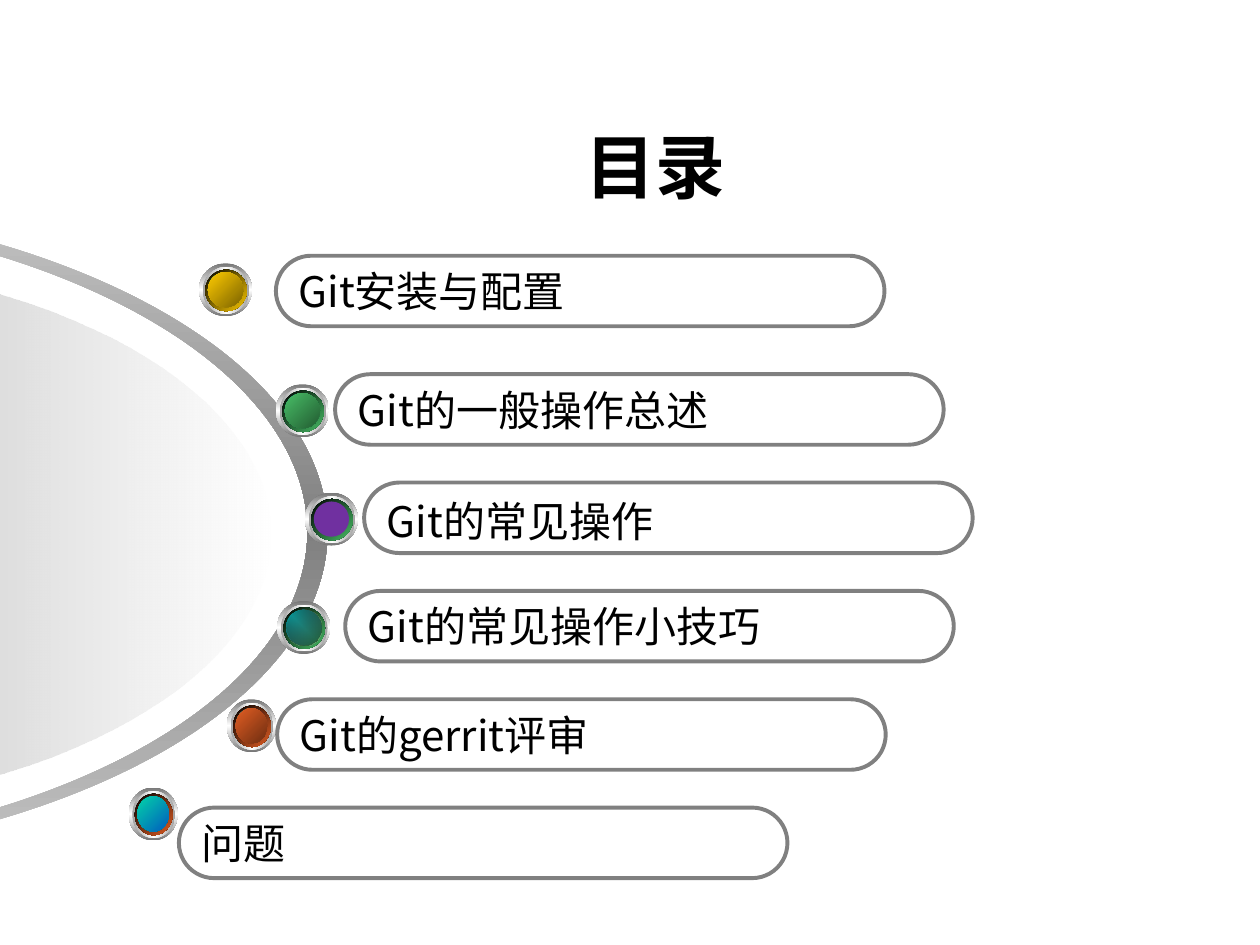
from lxml import etree
from pptx import Presentation
from pptx.dml.color import RGBColor
from pptx.enum.shapes import MSO_SHAPE
from pptx.enum.text import MSO_ANCHOR, PP_ALIGN
from pptx.oxml.ns import qn
from pptx.util import Inches, Pt

ELLIPSE = MSO_SHAPE.OVAL
PILL = MSO_SHAPE.ROUNDED_RECTANGLE
LEFT, CENTER = PP_ALIGN.LEFT, PP_ALIGN.CENTER
MIDDLE = MSO_ANCHOR.MIDDLE
TITLE_ONLY = 5

BODY_FONT, TITLE_FONT = "Noto Sans CJK SC", "Arial"
GRAY, BLACK = "808080", "000000"
PILL_SIZE = (4.83, 0.56)
DOT_HEIGHT = 0.42
ARC = 0.55  # control point distance of a quarter ellipse

# text, pill left and top, dot left, top and width, rim colour, core colours
GREEN, ORANGE = "48BE67", "E35E23"
ENTRIES = [
    ("Git安装与配置", 2.19, 2.03, 1.58, 2.09, 0.42, "FFCC00", ["FFCC00", "7C6300"]),
    ("Git的一般操作总述", 2.66, 2.97, 2.19, 3.05, 0.42, GREEN, [GREEN, "235C32"]),
    ("Git的常见操作", 2.89, 3.83, 2.42, 3.91, 0.42, GREEN, ["7030A0"]),
    ("Git的常见操作小技巧", 2.74, 4.69, 2.2, 4.77, 0.42, GREEN, [("595959", 0), "235C32"]),
    ("Git的gerrit评审", 2.2, 5.55, 1.8, 5.55, 0.39, ORANGE, [ORANGE, "6E2E11"]),
    ("问题", 1.42, 6.41, 1.02, 6.25, 0.39, ORANGE, ["03D4A8", "005CBF"]),
]


def color(hex_string):
    return RGBColor.from_string(hex_string)


def half_ellipse(left, middle, width, radius):
    """Start, control and end points of two curves, from top to bottom."""
    steps = [(0, -1), (ARC, -1), (1, -ARC), (1, 0), (1, ARC), (ARC, 1), (0, 1)]
    return [(left + width * x, middle + radius * y) for x, y in steps]


def bend(lines):
    """Turn each three line segments into one cubic curve."""
    for first, second, third in zip(lines[::3], lines[1::3], lines[2::3]):
        curve = etree.Element(qn("a:cubicBezTo"))
        first.addprevious(curve)
        for line in (first, second, third):
            curve.append(line[0])
            line.getparent().remove(line)


def set_fill(shape, colors, angle=0):
    """Fill with one colour, or with evenly spaced stops, each a hex string or (hex, opacity)."""
    if len(colors) == 1:
        shape.fill.solid()
        shape.fill.fore_color.rgb = color(colors[0])
        return
    shape.fill.gradient()
    gradient = shape._element.spPr.find(qn("a:gradFill"))
    stops = gradient.find(qn("a:gsLst"))
    for stop in list(stops):
        stops.remove(stop)
    for index, entry in enumerate(colors):
        hex_string, opacity = (entry, 100) if isinstance(entry, str) else entry
        position = 100000 * index // (len(colors) - 1)
        stop = etree.SubElement(stops, qn("a:gs"), pos=str(position))
        tone = etree.SubElement(stop, qn("a:srgbClr"), val=hex_string)
        if opacity < 100:
            etree.SubElement(tone, qn("a:alpha"), val=str(opacity * 1000))
    direction = gradient.find(qn("a:lin"))
    direction.set("ang", str(angle * 60000))
    direction.set("scaled", "0")


def write(shape, text, size, font, align=LEFT, bold=False, spacing=None, margin_top=0.05):
    frame = shape.text_frame
    frame.word_wrap = True
    frame.vertical_anchor = MIDDLE
    frame.margin_top = Inches(margin_top)
    para = frame.paragraphs[0]
    para.alignment = align
    if spacing:
        para.line_spacing = spacing
    span = para.add_run()
    span.text = text
    span.font.size = Pt(size)
    span.font.name = font
    span.font.bold = bold
    span.font.color.rgb = color(BLACK)
    east_asian = etree.SubElement(span.font._element, qn("a:ea"))
    east_asian.set("typeface", BODY_FONT)


class Contents:
    """Draws the elements of the contents page."""

    def __init__(self, page):
        self.page = page

    def title(self, text):
        box = self.page.shapes.title
        box.left, box.top = Inches(0.7), Inches(0.93)
        box.width, box.height = Inches(9), Inches(0.71)
        write(box, text, 40, TITLE_FONT, align=CENTER, bold=True, margin_top=0.11)

    def curved_shape(self, arcs, colors, angle):
        """Join half ellipses, given as point lists, into one closed shape."""
        corners = [(Inches(x), Inches(y)) for arc in arcs for x, y in arc]
        builder = self.page.shapes.build_freeform(*corners[0])
        builder.add_line_segments(corners[1:], close=True)
        shape = builder.convert_to_shape()
        lines = list(shape._element.spPr.iter(qn("a:lnTo")))
        for start in range(0, len(lines), 7):
            bend(lines[start:start + 6])
        shape.shadow.inherit = False
        shape.line.fill.background()
        set_fill(shape, colors, angle)

    def dot(self, left, top, width, rim, core):
        group = self.page.shapes.add_group_shape()
        layers = [
            (0, 0, ["767676", "FFFFFF", "767676"], 90),
            (0.03, 0.05, ["A2A2A2", "FFFFFF", "A2A2A2"], 0),
            (0.05, 0.09, ["FFFFFF", "009999", "FFFFFF"], 45),
            (0.05, 0.09, [BLACK, rim], 45),
            (0.07, 0.14, ["005353", "009999", "005353"], 315),
            (0.07, 0.14, core, 45),
        ]
        if len(core) == 1:
            del layers[4]
        for inset, shrink, colors, angle in layers:
            disc = group.shapes.add_shape(
                ELLIPSE, Inches(left + inset), Inches(top + inset),
                Inches(width - shrink), Inches(DOT_HEIGHT - shrink))
            disc.shadow.inherit = False
            disc.line.fill.background()
            set_fill(disc, colors, angle)

    def pill(self, text, left, top, spacing=None):
        width, height = PILL_SIZE
        shape = self.page.shapes.add_shape(
            PILL, Inches(left), Inches(top), Inches(width), Inches(height))
        shape.adjustments[0] = 0.5
        shape.shadow.inherit = False
        shape.fill.background()
        shape.line.color.rgb = color(GRAY)
        shape.line.width = Pt(2.25)
        write(shape, text, 24, BODY_FONT, spacing=spacing)


def main():
    deck = Presentation()
    deck.slide_width, deck.slide_height = Inches(10), Inches(7.5)
    contents = Contents(deck.slides.add_slide(deck.slide_layouts[TITLE_ONLY]))

    outer = half_ellipse(-2.62, 4.22, 5.22, 2.64)
    inner = half_ellipse(-2.62, 4.22, 5.06, 2.56)
    contents.curved_shape([outer, inner[::-1]], ["C5C5C5", GRAY, "C5C5C5"], 90)
    contents.curved_shape([half_ellipse(-2.15, 4.24, 4.3, 2.2)],
                          [(GRAY, 56), ("FFFFFF", 48)], 0)

    contents.title("目录")
    for text, left, top, dot_left, dot_top, dot_width, rim, core in ENTRIES:
        contents.dot(dot_left, dot_top, dot_width, rim, core)
        contents.pill(text, left, top, spacing=1.1 if text == "Git的常见操作" else None)
    deck.save("out.pptx")


if __name__ == "__main__":
    main()
